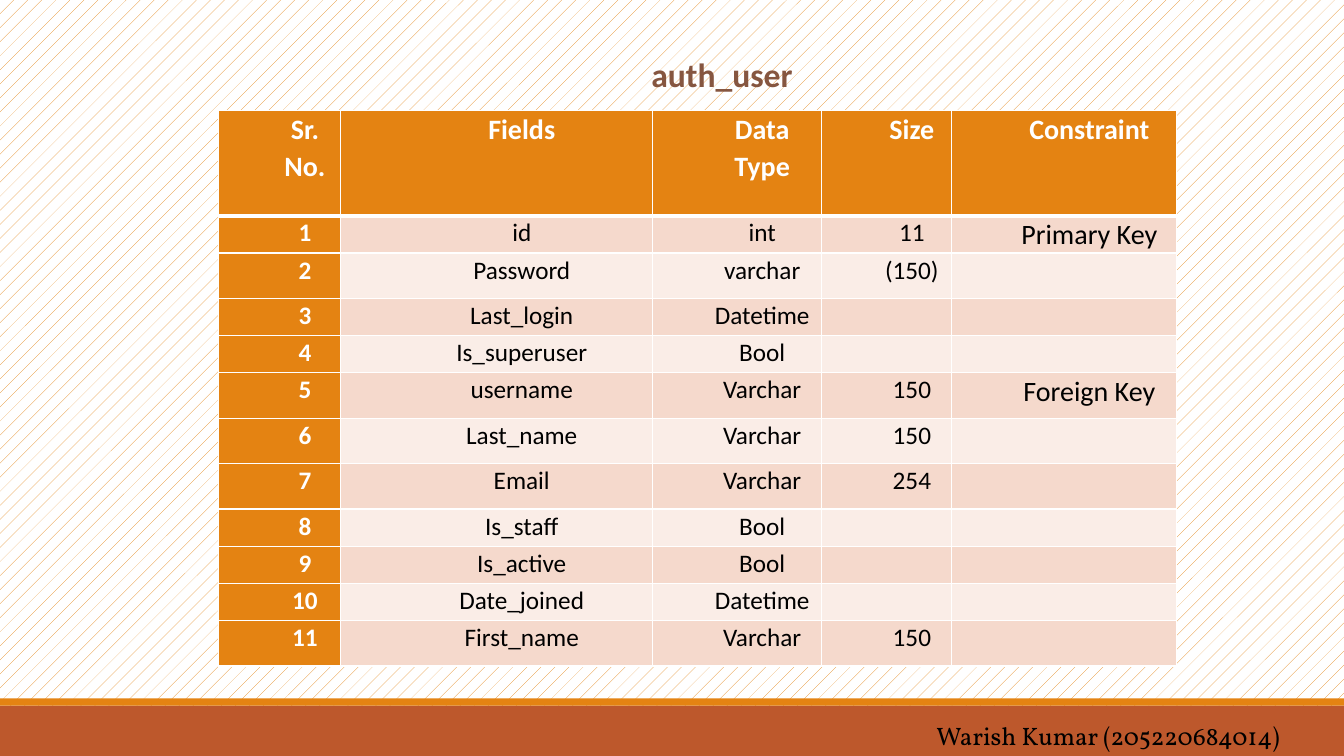
from lxml import etree
from pptx import Presentation
from pptx.dml.color import RGBColor
from pptx.enum.dml import MSO_PATTERN
from pptx.enum.shapes import MSO_SHAPE
from pptx.enum.text import MSO_ANCHOR, MSO_AUTO_SIZE, PP_ALIGN
from pptx.oxml.ns import qn
from pptx.util import Inches, Pt

RECTANGLE = MSO_SHAPE.RECTANGLE
DOTS = MSO_PATTERN.PERCENT_5
TOP = MSO_ANCHOR.TOP
LEFT, CENTER = PP_ALIGN.LEFT, PP_ALIGN.CENTER
NO_AUTOFIT = MSO_AUTO_SIZE.NONE

ORANGE = RGBColor(0xE4, 0x83, 0x12)
RUST = RGBColor(0xBD, 0x58, 0x2C)
BROWN = RGBColor(0x86, 0x56, 0x40)
PEACH = RGBColor(0xF5, 0xD9, 0xCC)
PALE_PEACH = RGBColor(0xFA, 0xED, 0xE7)
WHITE = RGBColor(0xFF, 0xFF, 0xFF)
BLACK = RGBColor(0, 0, 0)

COLUMN_WIDTHS = [1.21, 3.09, 1.68, 1.29, 2.23]
HEADER_HEIGHT, ROW_HEIGHT, TALL_ROW_HEIGHT = 1.04, 0.37, 0.45
TALL_FIELDS = {"Password", "username", "Last_name", "Email", "First_name"}
HEADINGS = ["Sr. No.", "Fields", "Data Type", "Size", "Constraint"]
FIELDS = [
    ("id", "int", "11", "Primary Key"),
    ("Password", "varchar", "(150)", ""),
    ("Last_login", "Datetime", "", ""),
    ("Is_superuser", "Bool", "", ""),
    ("username", "Varchar", "150", "Foreign Key"),
    ("Last_name", "Varchar", "150", ""),
    ("Email", "Varchar", "254", ""),
    ("Is_staff", "Bool", "", ""),
    ("Is_active", "Bool", "", ""),
    ("Date_joined", "Datetime", "", ""),
    ("First_name", "Varchar", "150", ""),
]


class SchemaSlide:
    def __init__(self, presentation):
        self.font = "Calibri"
        self.slide = presentation.slides.add_slide(presentation.slide_layouts[5])
        fill = self.slide.background.fill
        fill.patterned()
        fill.pattern = DOTS
        fill.fore_color.rgb = ORANGE
        fill.back_color.rgb = WHITE

    def style(self, paragraph, size, color, bold=False, font=None):
        for run in paragraph.runs:
            run.font.name = font or self.font
            run.font.size = Pt(size)
            run.font.bold = bold
            run.font.color.rgb = color

    def bar(self, top, height, color):
        bar = self.slide.shapes.add_shape(
            RECTANGLE, 0, Inches(top), Inches(13.33), Inches(height))
        bar.shadow.inherit = False
        bar.fill.solid()
        bar.fill.fore_color.rgb = color
        bar.line.fill.background()

    def title(self, text, left, top, width, height):
        title = self.slide.shapes.title
        title.left, title.top = Inches(left), Inches(top)
        title.width, title.height = Inches(width), Inches(height)
        frame = title.text_frame
        frame.text = text
        frame.word_wrap = True
        frame.auto_size = NO_AUTOFIT
        frame.vertical_anchor = TOP
        frame.paragraphs[0].alignment = LEFT
        self.style(frame.paragraphs[0], 24, BROWN, bold=True)

    def credit(self, text, left, top, width, height):
        credit = self.slide.shapes.add_textbox(
            Inches(left), Inches(top), Inches(width), Inches(height))
        credit.text_frame.word_wrap = True
        credit.text_frame.text = text
        self.style(credit.text_frame.paragraphs[0], 18, BLACK, font="Vollkorn")

    def borders(self, cell, top, bottom):
        """Draw white cell borders; top and bottom are widths in points."""
        properties = cell._tc.get_or_add_tcPr()
        for side, width in (("L", 1), ("R", 1), ("T", top), ("B", bottom)):
            line = etree.SubElement(properties, qn(f"a:ln{side}"), w=str(Pt(width)))
            fill = etree.SubElement(line, qn("a:solidFill"))
            etree.SubElement(fill, qn("a:srgbClr"), val=str(WHITE))

    def cell(self, cell, text, row, column):
        self.borders(cell, 3 if row == 1 else 1, 3 if row == 0 else 1)
        is_heading = row == 0 or column == 0
        cell.fill.solid()
        cell.fill.fore_color.rgb = (
            ORANGE if is_heading else PEACH if row % 2 else PALE_PEACH)
        cell.margin_left = cell.margin_right = Inches(0.04)
        cell.margin_top = cell.margin_bottom = 0
        cell.vertical_anchor = TOP
        if not text:
            return
        cell.text_frame.text = text
        paragraph = cell.text_frame.paragraphs[0]
        paragraph.alignment = CENTER
        paragraph.line_spacing = 1.07
        paragraph.space_after = Pt(11.2)
        indents = paragraph._p.get_or_add_pPr()
        indents.set("marL", str(Inches(0.5)))
        indents.set("indent", "0")
        size = 20 if row == 0 or column == 4 else 18
        self.style(paragraph, size, WHITE if is_heading else BLACK, is_heading)

    def table(self, rows, heights, left, top):
        table = self.slide.shapes.add_table(
            len(rows), len(COLUMN_WIDTHS), Inches(left), Inches(top),
            Inches(sum(COLUMN_WIDTHS)), Inches(sum(heights))).table
        for column, width in zip(table.columns, COLUMN_WIDTHS):
            column.width = Inches(width)
        for r, (values, height) in enumerate(zip(rows, heights)):
            table.rows[r].height = Inches(height)
            for c, value in enumerate(values):
                self.cell(table.cell(r, c), value, r, c)


def main():
    presentation = Presentation()
    presentation.slide_width = Inches(13.33)
    presentation.slide_height = Inches(7.5)
    schema = SchemaSlide(presentation)
    schema.bar(7, 0.5, RUST)
    schema.bar(6.93, 0.07, ORANGE)
    rows = [HEADINGS] + [(str(n), *field) for n, field in enumerate(FIELDS, 1)]
    heights = [HEADER_HEIGHT] + [
        TALL_ROW_HEIGHT if field[0] in TALL_FIELDS else ROW_HEIGHT
        for field in FIELDS]
    schema.table(rows, heights, 2.17, 1.1)
    schema.title("auth_user", 6.36, 0.48, 1.81, 0.5)
    schema.credit("Warish Kumar (205220684014)", 9.19, 7.1, 3.64, 0.4)
    presentation.save("out.pptx")


if __name__ == "__main__":
    main()
